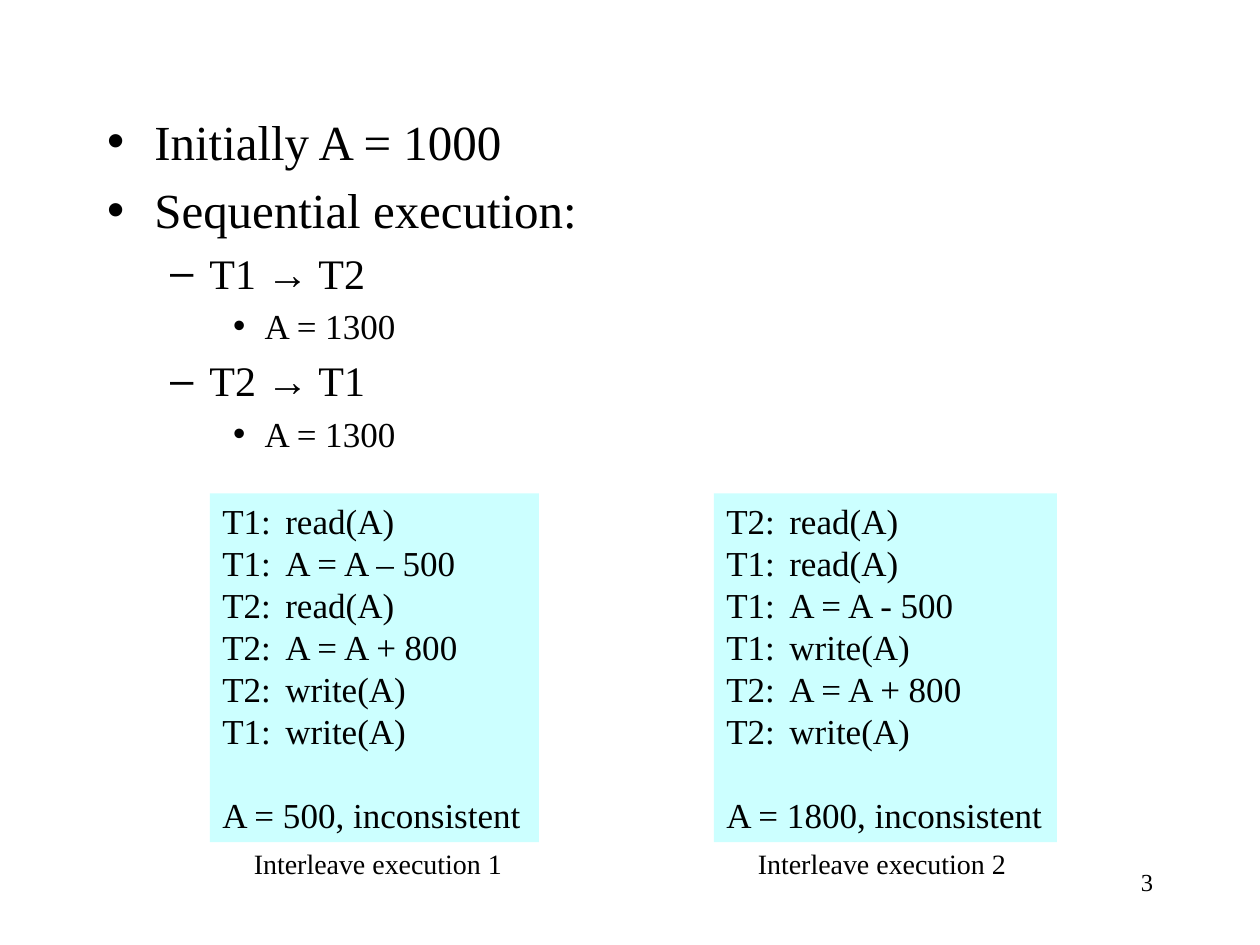
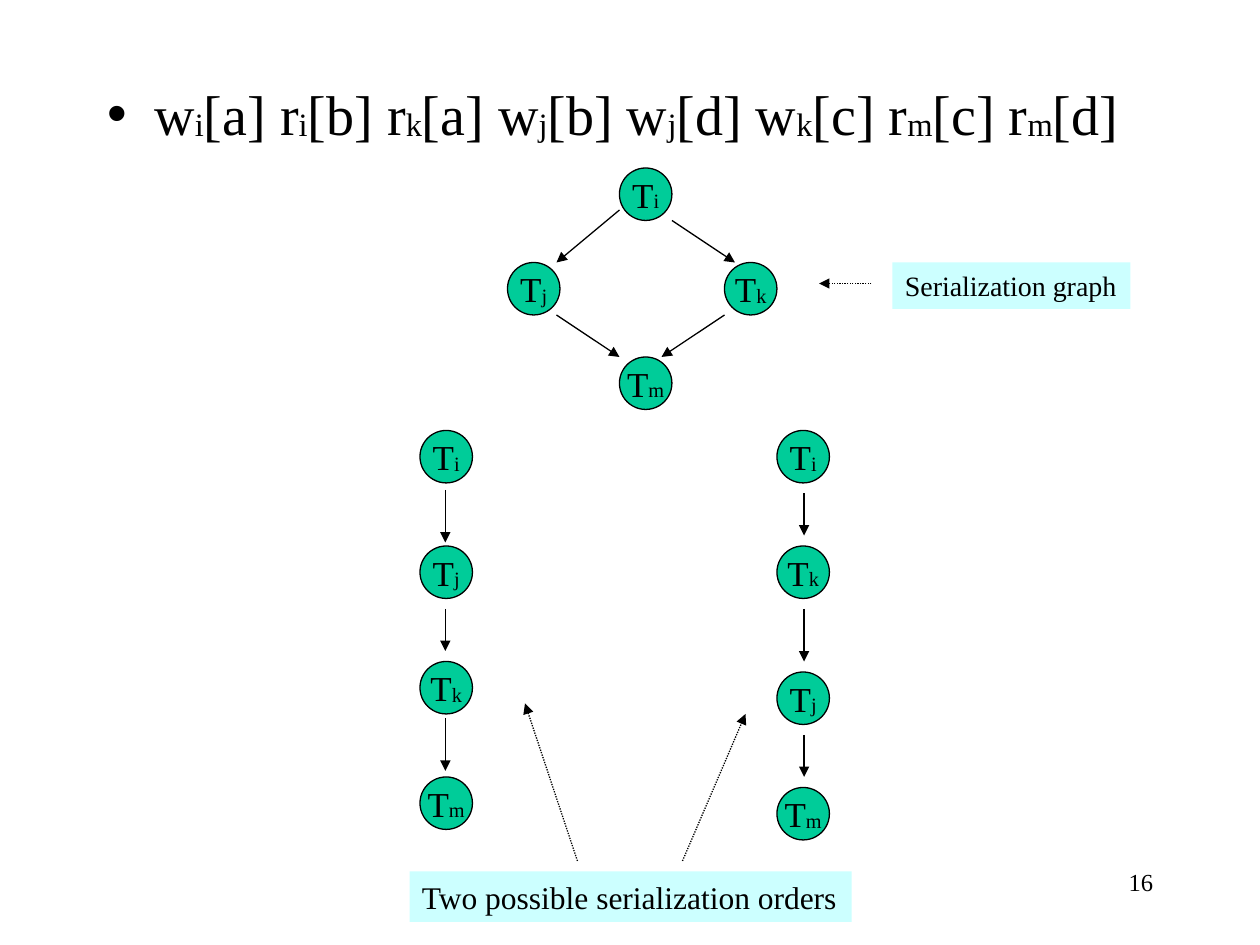
from pptx import Presentation
from pptx.util import Pt
from pptx.dml.color import RGBColor
from pptx.enum.dml import MSO_LINE
from pptx.enum.shapes import MSO_CONNECTOR, MSO_SHAPE
from pptx.enum.text import MSO_ANCHOR, MSO_AUTO_SIZE, PP_ALIGN
from pptx.oxml.ns import qn
from lxml.etree import SubElement

THEME = {
    "font": "Times New Roman",
    "ink": RGBColor(0, 0, 0),
    "panel": RGBColor(0xCC, 0xFF, 0xFF),
    "node": RGBColor(0x00, 0xCC, 0x99),
    "line": Pt(0.75),
    "levels": (28, 24, 20),
    "formula": 32, "code": 20, "order": 18, "label": 16, "page": 14,
}
GROW = {"word_wrap": False, "auto_size": MSO_AUTO_SIZE.SHAPE_TO_FIT_TEXT}
NODE = {"word_wrap": False, "vertical_anchor": MSO_ANCHOR.MIDDLE}
PAGE = {"word_wrap": True}


def write(par, text, size):
    """Fill a paragraph; the letter after each underscore is a subscript."""
    head, *rest = text.split("_")
    parts = [(head, False)]
    for part in rest:
        parts += [(part[0], True), (part[1:], False)]
    for part, low in parts:
        if not part:
            continue
        run = par.add_run()
        run.text = part
        form = {"name": THEME["font"], "size": Pt(size)}
        for key, val in form.items():
            setattr(run.font, key, val)
        run.font.color.rgb = THEME["ink"]
        if low:
            run._r.get_or_add_rPr().set("baseline", "-2000")


def put(slide, kind, box, lines, size, form, fill=None, align=PP_ALIGN.LEFT):
    """Place a text box, or a filled shape when a kind is given."""
    spot = [Pt(val) for val in box]
    if kind is None:
        shape = slide.shapes.add_textbox(*spot)
    else:
        shape = slide.shapes.add_shape(kind, *spot)
        shape.shadow.inherit = False
        shape.fill.solid()
        shape.fill.fore_color.rgb = fill
        shape.line.fill.background()
    frame = shape.text_frame
    for key, val in {"vertical_anchor": MSO_ANCHOR.TOP, **form}.items():
        setattr(frame, key, val)
    for num, text in enumerate(lines):
        par = frame.add_paragraph() if num else frame.paragraphs[0]
        par.alignment = align
        write(par, text, size)
    return shape


deck = Presentation()
deck.slide_width, deck.slide_height = Pt(720), Pt(540)

# Shared parts: bulleted body and page number
PAGES = [
    ("3", (54, 60, 612, 462), [
        (0, "Initially A = 1000", THEME["levels"][0]),
        (0, "Sequential execution:", THEME["levels"][0]),
        (1, "T1 → T2", THEME["levels"][1]),
        (2, "A = 1300", THEME["levels"][2]),
        (1, "T2 → T1", THEME["levels"][1]),
        (2, "A = 1300", THEME["levels"][2]),
    ]),
    ("16", (54, 42, 612, 438), [
        (0, "w_i[a] r_i[b] r_k[a] w_j[b] w_j[d] w_k[c] r_m[c] r_m[d]",
         THEME["formula"]),
    ]),
]
for page, box, items in PAGES:
    slide = deck.slides.add_slide(deck.slide_layouts[1])
    title = slide.shapes.title.element
    title.getparent().remove(title)
    put(slide, None, (516, 492, 150, 36), [page], THEME["page"], PAGE,
        align=PP_ALIGN.RIGHT)
    body = slide.placeholders[1]
    for key, val in zip(("left", "top", "width", "height"), box):
        setattr(body, key, Pt(val))
    frame = body.text_frame
    frame.auto_size = MSO_AUTO_SIZE.NONE
    for num, (level, text, size) in enumerate(items):
        par = frame.add_paragraph() if num else frame.paragraphs[0]
        par.level = level
        write(par, text, size)

runs, graph = deck.slides

# Interleaved executions: code panel with its caption
PANELS = [
    (120, 188, ["T1: \tread(A)", "T1:\tA = A – 500", "T2:\tread(A)",
                "T2:\tA = A + 800", "T2:\twrite(A)", "T1:\twrite(A)",
                "A = 500, inconsistent"]),
    (408, 196, ["T2: \tread(A)", "T1:\tread(A)", "T1:\tA = A - 500",
                "T1:\twrite(A)", "T2:\tA = A + 800", "T2:\twrite(A)",
                "A = 1800, inconsistent"]),
]
for num, (left, width, lines) in enumerate(PANELS, 1):
    panel = put(runs, MSO_SHAPE.RECTANGLE, (left, 282, width, 199.2), lines,
                THEME["code"], GROW, THEME["panel"])
    pars = panel.text_frame.paragraphs
    for par in pars:
        par.line_spacing = Pt(24)
    pars[-1].space_before = Pt(24)
    put(runs, None, (left + 18, 480, 157, 26.6),
        [f"Interleave execution {num}"], THEME["label"], GROW)

# Graph nodes: the diamond, then the two orders
NODES = [("i", 354, 96), ("j", 290, 150), ("k", 414, 150), ("m", 354, 204)]
for left, names, tops in [(240, "ijkm", (246, 312, 378, 444)),
                          (444, "ikjm", (246, 312, 384, 450))]:
    NODES += [(name, left, top) for name, top in zip(names, tops)]
for name, left, top in NODES:
    node = put(graph, MSO_SHAPE.OVAL, (left, top, 30, 30), [f"T_{name}"],
               THEME["code"], NODE, THEME["node"], PP_ALIGN.CENTER)
    node.line.color.rgb = THEME["ink"]
    node.line.width = THEME["line"]

# Labels
for box, text, size in [
    ((234, 498, 252.7, 28.8), "Two possible serialization orders",
     THEME["order"]),
    ((510, 150, 136, 26.6), "Serialization graph", THEME["label"]),
]:
    put(graph, MSO_SHAPE.RECTANGLE, box, [text], size, GROW, THEME["panel"])

# Arrows: solid between nodes, dotted from the labels
SOLID = [(354, 120, 318, 150), (384, 126, 420, 150),
         (318, 180, 354, 204), (414, 180, 378, 204)]
for mid, spans in [(254.5, ((280, 310), (348, 372), (410.5, 440.5))),
                   (459.5, ((282, 306), (348, 378), (420, 444)))]:
    SOLID += [(mid, top, mid, end) for top, end in spans]
DOTTED = [(330, 492, 300, 402), (390, 492, 426, 408), (498, 162, 468, 162)]
for ends, dash in [(SOLID, None), (DOTTED, MSO_LINE.ROUND_DOT)]:
    for spot in ends:
        arrow = graph.shapes.add_connector(
            MSO_CONNECTOR.STRAIGHT, *[Pt(val) for val in spot])
        arrow.line.color.rgb = THEME["ink"]
        arrow.line.width = THEME["line"]
        if dash:
            arrow.line.dash_style = dash
        props = arrow._element.spPr
        SubElement(props.find(qn("a:ln")), qn("a:tailEnd"), type="triangle")
        SubElement(props, qn("a:effectLst"))

deck.save("out.pptx")
